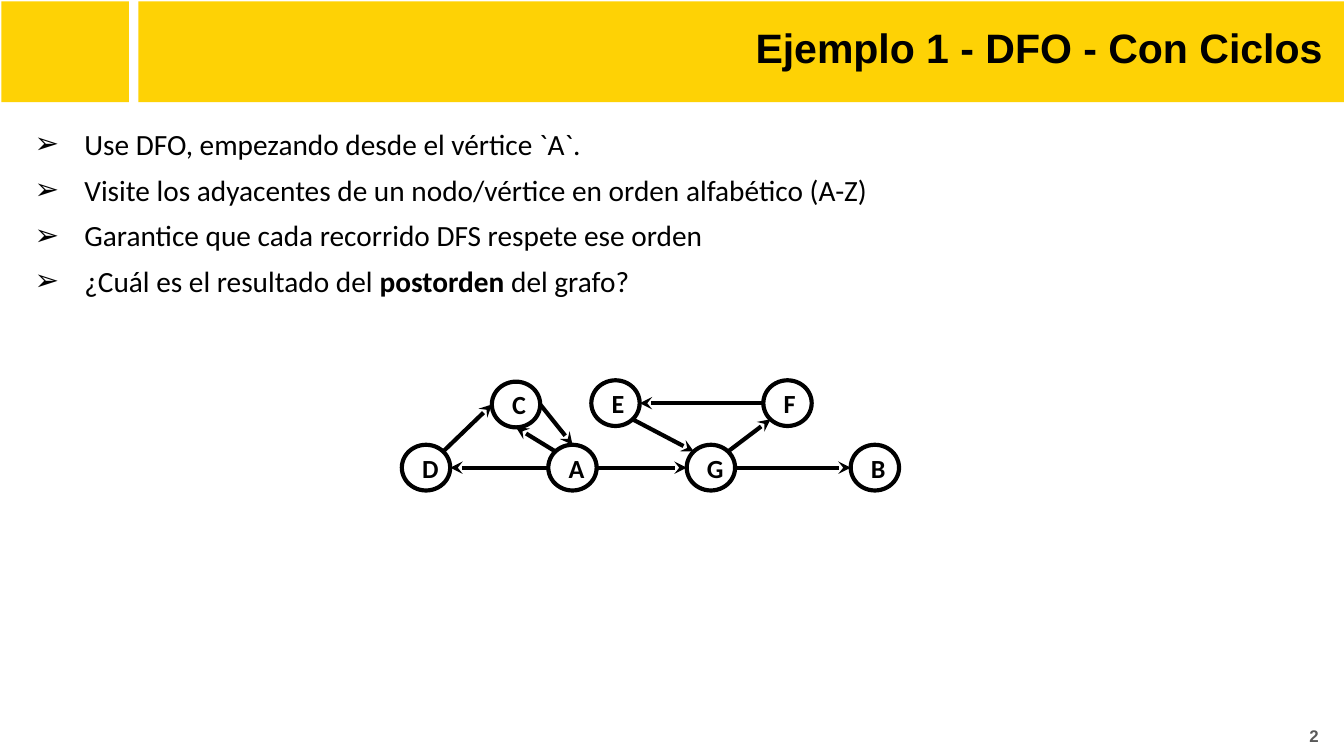
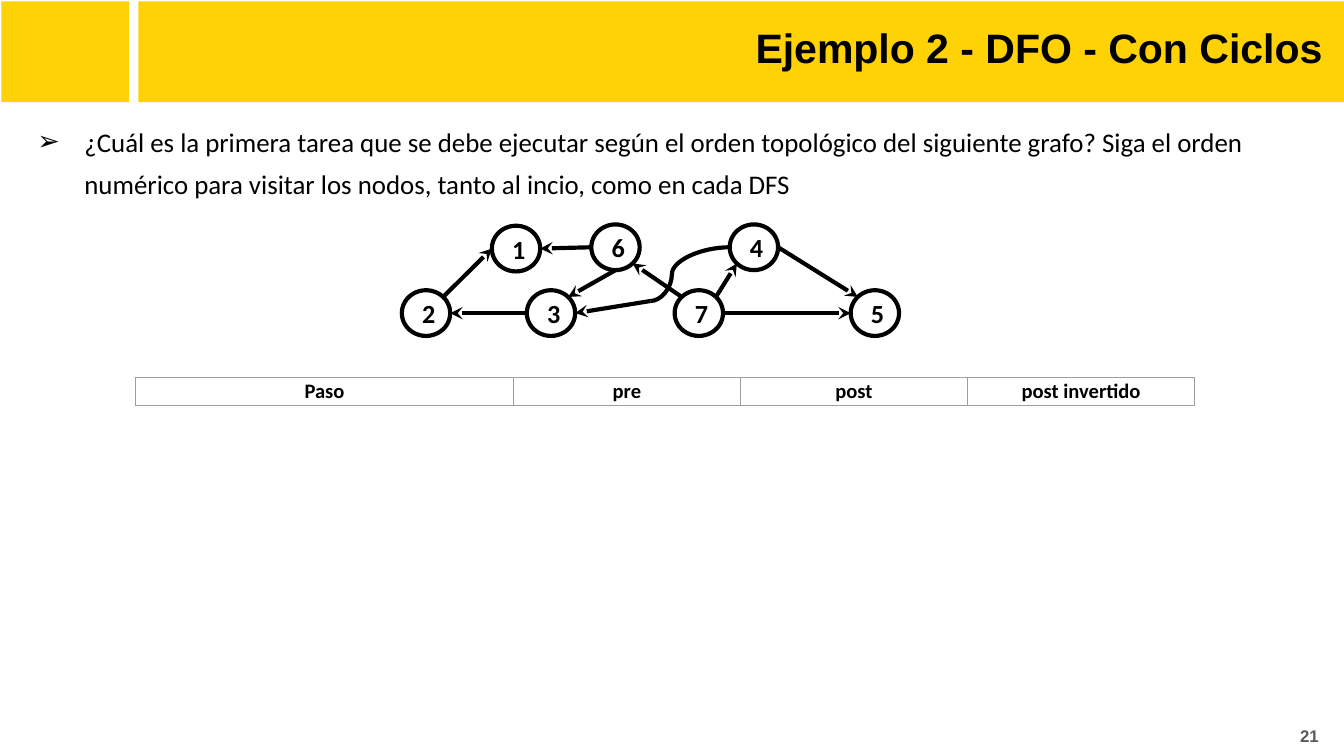
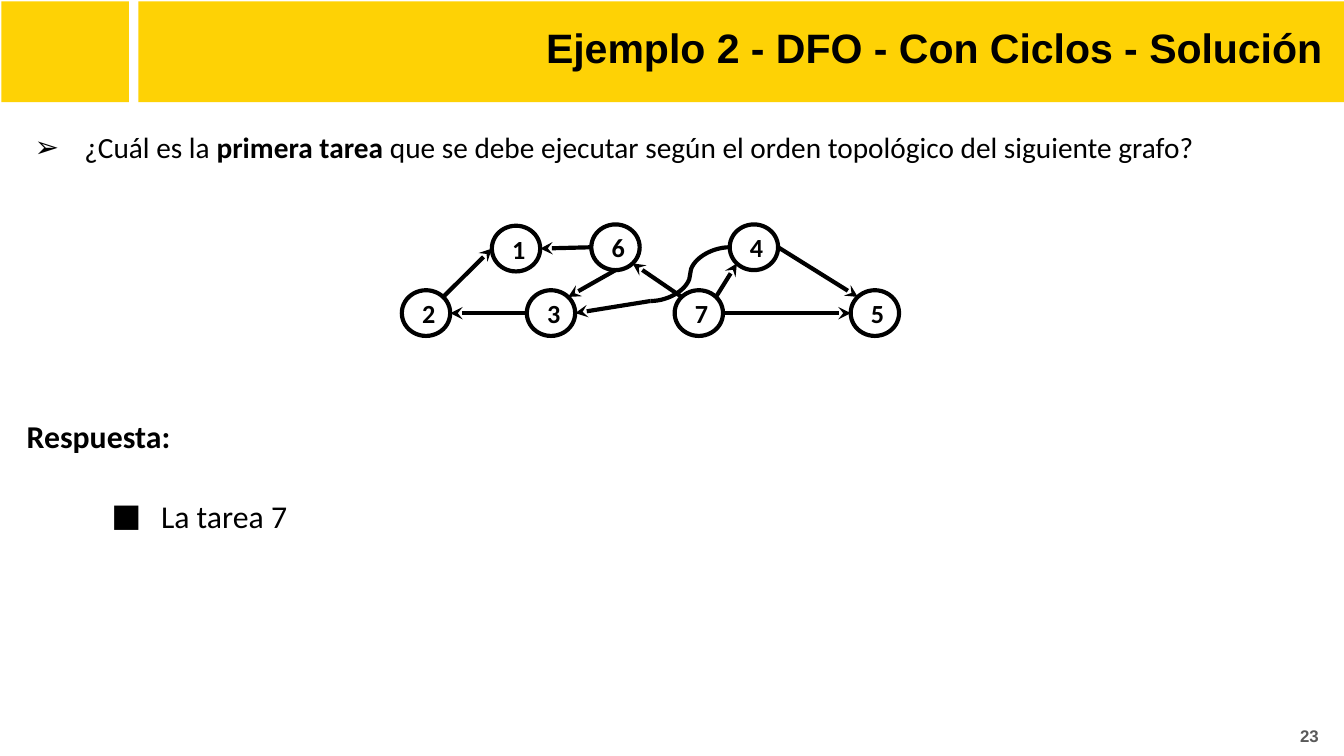
from math import cos, radians, sin

from pptx import Presentation
from pptx.dml.color import RGBColor
from pptx.enum.shapes import MSO_CONNECTOR as LINK, MSO_SHAPE as SHAPE
from pptx.enum.text import MSO_ANCHOR as ANCHOR, PP_ALIGN as ALIGN
from pptx.oxml.ns import qn
from pptx.util import Inches, Pt
from lxml.etree import SubElement

BLACK, WHITE, GOLD, GRAY, RULE = "000000", "FFFFFF", "FED205", "595959", "9E9E9E"
HEAD, BODY = "Arial", "Calibri"
LINE = 2.25
NODE_W, NODE_H = 0.36, 0.34
# Angle of each point of an ellipse where an edge may touch, clockwise from the right
SITES = {s: 45 * i for i, s in enumerate(["e", "se", "s", "sw", "w", "nw", "n", "ne"])}


def paint(color):
    return RGBColor.from_string(color)


def inches(*sizes):
    return [Inches(s) for s in sizes]


def style(para, font, size, color=BLACK, bold=None):
    for run in para.runs:
        run.font.name, run.font.size = font, Pt(size)
        run.font.color.rgb = paint(color)
        if bold is not None:
            run.font.bold = bold


def pad(frame, bottom=0.1):
    frame.word_wrap = True
    frame.margin_left = frame.margin_top = frame.margin_right = Inches(0.1)
    frame.margin_bottom = Inches(bottom)


def add_label(slide, box, text, size, color=BLACK, anchor=ANCHOR.TOP):
    """Right-aligned bold heading text."""
    frame = slide.shapes.add_textbox(*inches(*box)).text_frame
    pad(frame)
    frame.vertical_anchor = anchor
    para = frame.paragraphs[0]
    para.text, para.alignment = text, ALIGN.RIGHT
    style(para, HEAD, size, color, True)


def add_bullet(para, mark, left, hang):
    props = para._p.get_or_add_pPr()
    props.set("marL", str(Inches(left)))
    props.set("indent", str(-Inches(hang)))
    tint = SubElement(props, qn("a:buClr"))
    SubElement(tint, qn("a:srgbClr")).set("val", BLACK)
    SubElement(props, qn("a:buFont")).set("typeface", BODY)
    SubElement(props, qn("a:buChar")).set("char", mark)


def add_text(slide, box, lines, size, space, hang=0.37):
    """Lines are (text, level, mark, indent, space before); ** marks bold."""
    frame = slide.shapes.add_textbox(*inches(*box)).text_frame
    pad(frame, 0.02)
    for i, (text, level, mark, left, before) in enumerate(lines):
        para = frame.add_paragraph() if i else frame.paragraphs[0]
        para.level, para.line_spacing = level, space
        para.space_before = Pt(before)
        for j, part in enumerate(text.split("**")):
            if part:
                run = para.add_run()
                run.text, run.font.bold = part, j % 2 == 1
        style(para, BODY, size)
        if mark:
            add_bullet(para, mark, left, hang)


def ask(text, level=0):
    return text, level, "➢", 0.5, 0


def add_frame(deck, title, number):
    """New slide with gold bands, title and page number."""
    slide = deck.slides.add_slide(deck.slide_layouts[6])
    for left, width in [(1.03, 8.97), (0.01, 0.95)]:
        band = slide.shapes.add_shape(SHAPE.RECTANGLE, *inches(left, 0.01, width, 0.75))
        band.shadow.inherit = False
        band.fill.solid()
        band.fill.fore_color.rgb = paint(GOLD)
        band.line.fill.background()
    add_label(slide, (1.08, 0.07, 8.86, 0.63), title, 22)
    add_label(slide, (9.47, 5.26, 0.44, 0.43), number, 9, GRAY, ANCHOR.MIDDLE)
    return slide


def add_node(slide, name, left, top, fill):
    node = slide.shapes.add_shape(SHAPE.OVAL, *inches(left, top, NODE_W, NODE_H))
    node.shadow.inherit = False
    if fill:
        node.fill.solid()
        node.fill.fore_color.rgb = paint(fill)
    else:
        node.fill.background()
    node.line.color.rgb, node.line.width = paint(BLACK), Pt(LINE)
    frame = node.text_frame
    pad(frame)
    frame.vertical_anchor = ANCHOR.MIDDLE
    para = frame.paragraphs[0]
    para.text, para.alignment = name, ALIGN.CENTER
    style(para, BODY, 14, bold=True)


def add_edge(slide, start, end, kind=LINK.STRAIGHT, arrow=True):
    edge = slide.shapes.add_connector(kind, *inches(*start, *end))
    edge.line.color.rgb, edge.line.width = paint(BLACK), Pt(LINE)
    if arrow:
        SubElement(edge.line._get_or_add_ln(), qn("a:tailEnd")).set("type", "stealth")
    SubElement(edge._element.spPr, qn("a:effectLst"))
    return edge


def touch(spot, site):
    """Point on the rim of the node whose corner is at spot."""
    angle = radians(SITES[site])
    return (spot[0] + NODE_W / 2 * (1 + cos(angle)),
            spot[1] + NODE_H / 2 * (1 + sin(angle)))


def add_graph(slide, left, top, nodes, edges, fill=None):
    """Edges read 'from site to site'; returns the place of each node."""
    spots = {name: (left + x, top + y) for name, (x, y) in nodes.items()}
    for name, spot in spots.items():
        add_node(slide, name, *spot, fill)
    for edge in edges:
        tail, out, head, into = edge.split()
        add_edge(slide, touch(spots[tail], out), touch(spots[head], into))
    return spots


def add_tasks(slide, left, top, bend):
    """Graph of tasks; bend is where the curve from 4 to 3 turns."""
    nodes = {"2": (0, 0.49), "6": (1.41, 0), "7": (2.03, 0.49), "5": (3.34, 0.49),
             "4": (2.44, 0), "1": (0.67, 0.01), "3": (0.93, 0.49)}
    edges = ["6 w 1 e", "6 s 3 ne", "7 nw 6 se", "3 w 2 e", "2 ne 1 w",
             "4 e 5 nw", "7 ne 4 sw", "7 e 5 w"]
    spots = add_graph(slide, left, top, nodes, edges)
    joint = (left + 1.85, top + 0.57)
    curve = add_edge(slide, touch(spots["4"], "w"), joint, LINK.CURVE, False)
    shape = curve._element.spPr.find(qn("a:prstGeom"))
    guides = shape.find(qn("a:avLst"))
    if guides is None:
        guides = SubElement(shape, qn("a:avLst"))
    guide = SubElement(guides, qn("a:gd"))
    guide.set("name", "adj1")
    guide.set("fmla", f"val {round(bend * 100000)}")
    add_edge(slide, joint, touch(spots["3"], "e"))


def add_steps(slide, left, top, widths, heads):
    """Header row of the trace table."""
    box = inches(left, top, sum(widths), 0.21)
    table = slide.shapes.add_table(1, len(heads), *box).table
    table.first_row = table.horz_banding = False
    for i, (width, head) in enumerate(zip(widths, heads)):
        table.columns[i].width = Inches(width)
        cell = table.cell(0, i)
        cell.margin_left = cell.margin_right = Inches(0.01)
        cell.margin_top = cell.margin_bottom = Inches(0.01)
        para = cell.text_frame.paragraphs[0]
        para.text, para.alignment = head, ALIGN.CENTER
        style(para, BODY, 11, bold=True)
        props = cell._tc.get_or_add_tcPr()
        for side in ["lnL", "lnR", "lnT", "lnB"]:
            border = SubElement(props, qn(f"a:{side}"))
            border.set("w", str(Pt(0.75)))
            tint = SubElement(border, qn("a:solidFill"))
            SubElement(tint, qn("a:srgbClr")).set("val", RULE)
        cell.fill.background()


def letters(deck):
    slide = add_frame(deck, "Ejemplo 1 - DFO - Con Ciclos", "2")
    add_text(slide, (0.03, 0.76, 9.97, 1.55), [
        ask("Use DFO, empezando desde el vértice `A`."),
        ask("Visite los adyacentes de un nodo/vértice en orden alfabético (A-Z)"),
        ask("Garantice que cada recorrido DFS respete ese orden", 1),
        ask("¿Cuál es el resultado del **postorden** del grafo?", 1)], 15.7, 1.3)
    nodes = {"D": (0, 0.48), "E": (1.41, 0), "G": (2.12, 0.48), "B": (3.34, 0.48),
             "F": (2.69, 0), "C": (0.67, 0.01), "A": (1.09, 0.48)}
    edges = ["F w E e", "C e A n", "A nw C s", "E se G nw", "A w D e",
             "A e G w", "D ne C w", "G e B w", "G ne F sw"]
    add_graph(slide, 2.99, 2.83, nodes, edges, WHITE)


def tasks(deck):
    slide = add_frame(deck, "Ejemplo 2 - DFO - Con Ciclos", "21")
    add_tasks(slide, 2.99, 1.67, 0.73)
    add_text(slide, (0.03, 0.76, 9.97, 0.69), [
        ask("¿Cuál es la primera tarea que se debe ejecutar según el orden "
            "topológico del siguiente grafo? Siga el orden numérico para visitar "
            "los nodos, tanto al incio, como en cada DFS")], 14.4, 1.3, 0.35)
    add_steps(slide, 1.01, 2.81, [2.81] + [1.69] * 3,
              ["Paso", "pre", "post", "post invertido"])


def answer(deck):
    slide = add_frame(deck, "Ejemplo 2 - DFO - Con Ciclos - Solución", "23")
    add_text(slide, (0.03, 0.76, 9.97, 0.5), [
        ask("¿Cuál es la **primera tarea **que se debe ejecutar según el orden "
            "topológico del siguiente grafo?")], 15.7, 1.4)
    add_text(slide, (0.1, 2.86, 9.97, 1.01), [
        ("**Respuesta:**", 0, None, 0, 0),
        ("La tarea 7", 1, "■", 1, 12)], 17, 1.5)
    add_tasks(slide, 2.99, 1.67, 0.5)


def main():
    deck = Presentation()
    # Wide format, 16 to 9
    deck.slide_width = Inches(10)
    deck.slide_height = Inches(10) * 9 // 16
    for build in [letters, tasks, answer]:
        build(deck)
    deck.save("out.pptx")


if __name__ == "__main__":
    main()
